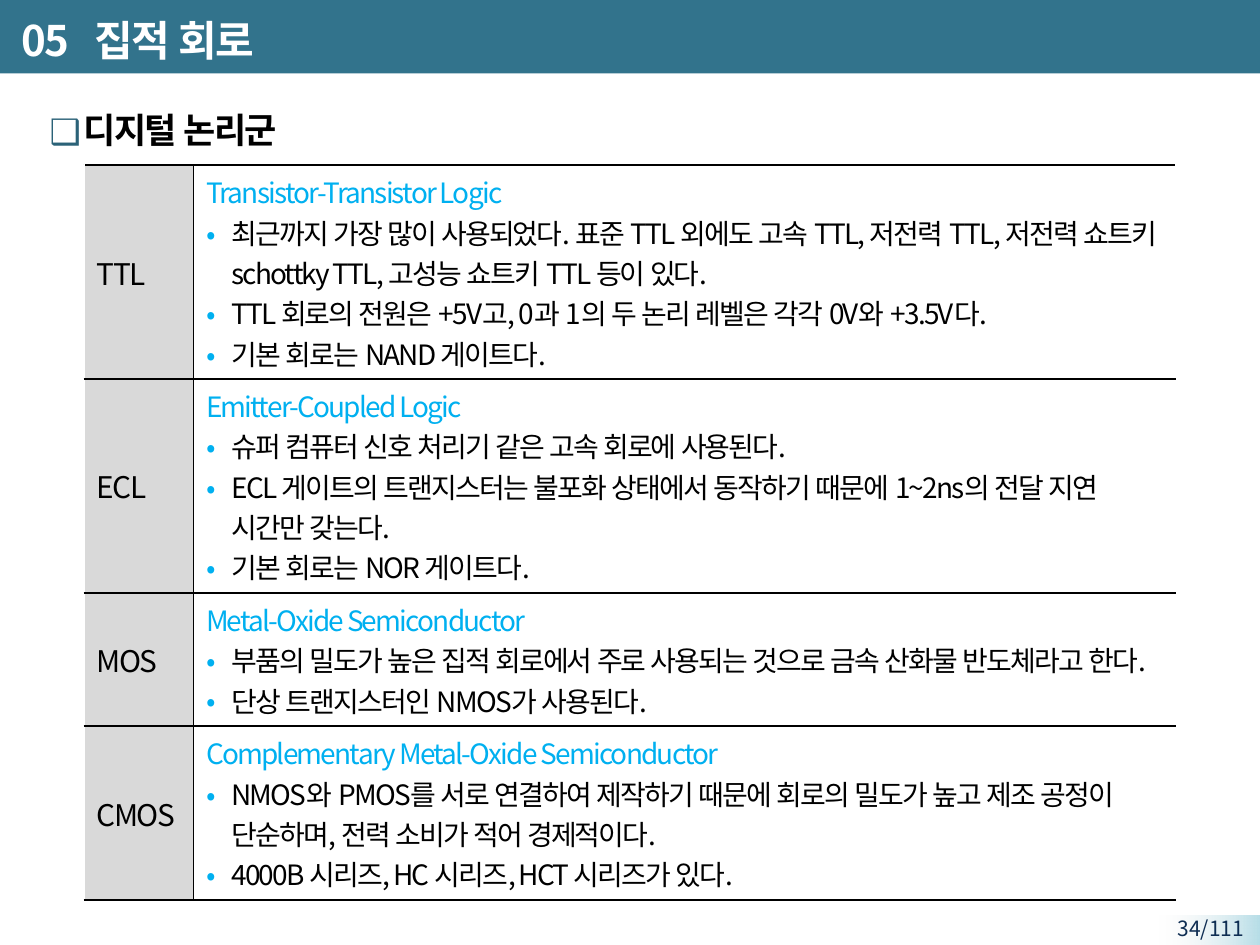
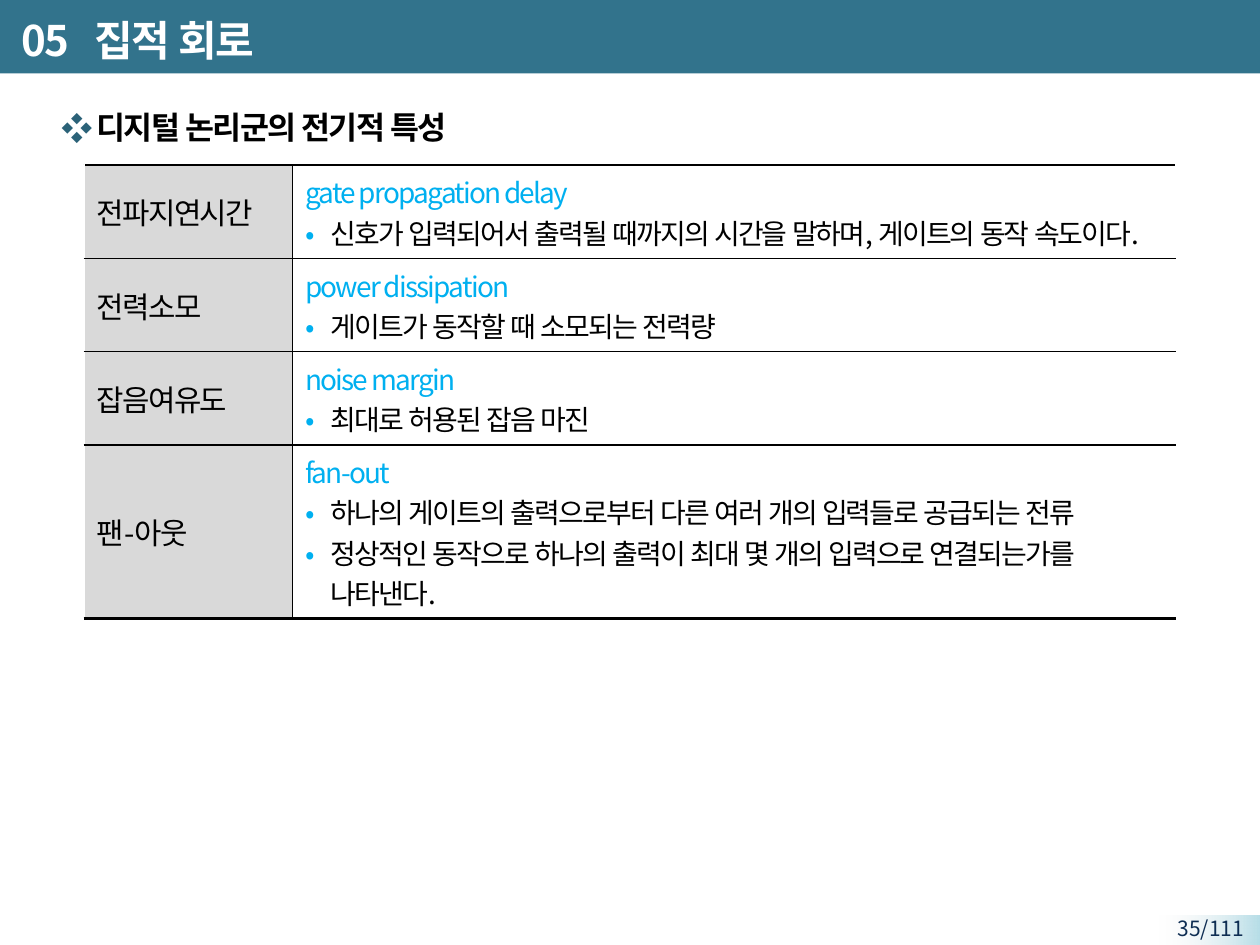
from dataclasses import dataclass

from lxml import etree
from pptx import Presentation
from pptx.dml.color import RGBColor
from pptx.enum.lang import MSO_LANGUAGE_ID
from pptx.enum.shapes import MSO_SHAPE
from pptx.enum.text import MSO_ANCHOR, MSO_AUTO_SIZE, PP_ALIGN
from pptx.oxml.ns import qn
from pptx.util import Cm, Pt

RECTANGLE = MSO_SHAPE.RECTANGLE
MIDDLE = MSO_ANCHOR.MIDDLE
NO_AUTOFIT = MSO_AUTO_SIZE.NONE
LEFT, RIGHT = PP_ALIGN.LEFT, PP_ALIGN.RIGHT
KOREAN = MSO_LANGUAGE_ID.KOREAN
TITLE_ONLY = 5


@dataclass(frozen=True)
class Theme:
    font: str = "Noto Sans CJK KR"
    band: str = "32738C"
    title: str = "FFFFFF"
    text: str = "000000"
    accent: str = "00B0F0"
    heading_mark: str = "2B6278"
    label_fill: str = "D9D9D9"
    rule: str = "000000"
    no_rule: str = "FFFFFF"
    page: str = "0F2E53"
    page_glow: str = "B7DEE8"
    page_fade: str = "F2F2F2"
    title_size: int = 24
    label_size: int = 17
    detail_size: int = 16
    page_size: int = 12
    tight: float = -1
    thin: float = 1
    thick: float = 1.5


THEME = Theme()


@dataclass(frozen=True)
class Heading:
    text: str
    mark: str
    size: int
    indent: float
    hang: float


@dataclass(frozen=True)
class Topic:
    label: str
    term: str
    lines: int  # lines of text in the row, wrapped ones included
    points: tuple[str, ...]


@dataclass(frozen=True)
class Page:
    number: str
    heading: Heading
    label_width: float
    topics: tuple[Topic, ...]


CHAPTER = "05\t집적 회로"
TABLE_WIDTH = 22.0
LINE_HEIGHT = 0.81
ROW_PADDING = 0.26

PAGES = (
    Page("34/111", Heading("디지털 논리군", "❑", 20, 1.26, 0.69), 2.2, (
        Topic("TTL", "Transistor-Transistor Logic", 5, (
            "최근까지 가장 많이 사용되었다. 표준 TTL 외에도 고속 TTL, 저전력 TTL, "
            "저전력 쇼트키 schottky TTL, 고성능 쇼트키 TTL 등이 있다.",
            "TTL 회로의 전원은 +5V고, 0과 1의 두 논리 레벨은 각각 0V와 +3.5V다.",
            "기본 회로는 NAND 게이트다.")),
        Topic("ECL", "Emitter-Coupled Logic", 5, (
            "슈퍼 컴퓨터 신호 처리기 같은 고속 회로에 사용된다.",
            "ECL 게이트의 트랜지스터는 불포화 상태에서 동작하기 때문에 "
            "1~2ns의 전달 지연 시간만 갖는다.",
            "기본 회로는 NOR 게이트다.")),
        Topic("MOS", "Metal-Oxide Semiconductor", 3, (
            "부품의 밀도가 높은 집적 회로에서 주로 사용되는 것으로 "
            "금속 산화물 반도체라고 한다.",
            "단상 트랜지스터인 NMOS가 사용된다.")),
        Topic("CMOS", "Complementary Metal-Oxide Semiconductor", 4, (
            "NMOS와 PMOS를 서로 연결하여 제작하기 때문에 회로의 밀도가 높고 "
            "제조 공정이 단순하며, 전력 소비가 적어 경제적이다.",
            "4000B 시리즈, HC 시리즈, HCT 시리즈가 있다.")),
    )),
    Page("35/111", Heading("디지털 논리군의 전기적 특성", "❖", 18, 1.52, 0.71), 4.2, (
        Topic("전파지연시간", "gate propagation delay", 2, (
            "신호가 입력되어서 출력될 때까지의 시간을 말하며, 게이트의 동작 속도이다.",)),
        Topic("전력소모", "power dissipation", 2, ("게이트가 동작할 때 소모되는 전력량",)),
        Topic("잡음여유도", "noise margin", 2, ("최대로 허용된 잡음 마진",)),
        Topic("팬-아웃", "fan-out", 4, (
            "하나의 게이트의 출력으로부터 다른 여러 개의 입력들로 공급되는 전류",
            "정상적인 동작으로 하나의 출력이 최대 몇 개의 입력으로 연결되는가를 나타낸다.")),
    )),
)


def rgb(color: str) -> RGBColor:
    return RGBColor.from_string(color)


# Text helpers
def style(paragraph, size: int, color: str, bold: bool = False, spacing: float = 0) -> None:
    for run in paragraph.runs:
        run.font.size = Pt(size)
        run.font.bold = bold
        run.font.color.rgb = rgb(color)
        run.font.name = THEME.font
        run.font.language_id = KOREAN
        properties = run.font._element
        properties.set("spc", str(int(spacing * 100)))
        east_asian = etree.Element(qn("a:ea"), typeface=THEME.font)
        properties.find(qn("a:latin")).addnext(east_asian)


def add_bullet(paragraph, mark: str, color: str, indent: float, hang: float) -> None:
    properties = paragraph._p.get_or_add_pPr()
    properties.set("marL", str(Cm(indent)))
    properties.set("indent", str(-Cm(hang)))
    mark_color = etree.SubElement(properties, qn("a:buClr"))
    etree.SubElement(mark_color, qn("a:srgbClr"), val=color)
    etree.SubElement(properties, qn("a:buFont"), typeface=THEME.font)
    etree.SubElement(properties, qn("a:buChar"), char=mark)


# Frame shared by all slides
def add_band(slide) -> None:
    band = slide.shapes.add_shape(RECTANGLE, Cm(0), Cm(-0.05), Cm(25.4), Cm(1.53))
    band.shadow.inherit = False
    band.fill.solid()
    band.fill.fore_color.rgb = rgb(THEME.band)
    band.line.fill.background()
    slide.shapes.element.insert(2, band.element)  # behind the title


def set_title(slide) -> None:
    title = slide.shapes.title
    title.left, title.top, title.width, title.height = Cm(0.18), Cm(0.15), Cm(21.6), Cm(1.32)
    frame = title.text_frame
    frame.text = CHAPTER
    frame.auto_size = NO_AUTOFIT
    frame.vertical_anchor = MIDDLE
    chapter = frame.paragraphs[0]
    chapter.alignment = LEFT
    tabs = etree.SubElement(chapter._p.get_or_add_pPr(), qn("a:tabLst"))
    etree.SubElement(tabs, qn("a:tab"), pos=str(Cm(1.47)), algn="l")
    style(chapter, THEME.title_size, THEME.title, bold=True, spacing=THEME.tight)


def add_page_number(slide, number: str) -> None:
    glow = slide.shapes.add_shape(RECTANGLE, Cm(23.37), Cm(18.46), Cm(2.03), Cm(0.6))
    glow.shadow.inherit = False
    glow.line.fill.background()
    glow.fill.gradient()
    glow.fill.gradient_angle = 180
    start, end = glow.fill.gradient_stops
    start.color.rgb, end.color.rgb = rgb(THEME.page_glow), rgb(THEME.page_fade)
    fade = glow.element.findall(".//" + qn("a:gs"))[-1][0]
    etree.SubElement(fade, qn("a:alpha"), val="0")

    page_number = slide.shapes.add_textbox(Cm(22.99), Cm(18.34), Cm(2.34), Cm(0.58))
    frame = page_number.text_frame
    frame.word_wrap = True
    frame.text = number
    frame.paragraphs[0].alignment = RIGHT
    style(frame.paragraphs[0], THEME.page_size, THEME.page)


# Content
def add_heading(slide, heading: Heading) -> None:
    box = slide.shapes.add_textbox(Cm(0.18), Cm(1.98), Cm(24.89), Cm(1.2))
    frame = box.text_frame
    frame.word_wrap = True
    frame.text = heading.text
    paragraph = frame.paragraphs[0]
    paragraph.line_spacing = 1.1
    paragraph.space_after = Pt(2)
    add_bullet(paragraph, heading.mark, THEME.heading_mark, heading.indent, heading.hang)
    style(paragraph, heading.size, THEME.text, bold=True, spacing=THEME.tight)


def set_borders(cell, is_label: bool, is_first: bool, is_last: bool) -> None:
    borders = (
        ("a:lnL", THEME.no_rule if is_label else THEME.rule, THEME.thin),
        ("a:lnR", THEME.rule if is_label else THEME.no_rule, THEME.thin),
        ("a:lnT", THEME.rule, THEME.thick if is_first else THEME.thin),
        ("a:lnB", THEME.rule, THEME.thick if is_last else THEME.thin),
    )
    properties = cell._tc.get_or_add_tcPr()
    for tag, color, width in borders:
        border = etree.SubElement(properties, qn(tag), w=str(Pt(width)))
        fill = etree.SubElement(border, qn("a:solidFill"))
        etree.SubElement(fill, qn("a:srgbClr"), val=color)


def fill_row(label, detail, topic: Topic) -> None:
    label.fill.solid()
    label.fill.fore_color.rgb = rgb(THEME.label_fill)
    label.vertical_anchor = MIDDLE
    label.text_frame.text = topic.label
    style(label.text_frame.paragraphs[0], THEME.label_size, THEME.text, spacing=THEME.tight)

    detail.fill.background()
    detail.text_frame.text = "\n".join((topic.term, *topic.points))
    term, *points = detail.text_frame.paragraphs
    style(term, THEME.detail_size, THEME.accent, spacing=THEME.tight)
    for point in points:
        add_bullet(point, "•", THEME.accent, 0.51, 0.51)
        style(point, THEME.detail_size, THEME.text, spacing=THEME.tight)


def add_topics(slide, page: Page) -> None:
    heights = [ROW_PADDING + LINE_HEIGHT * topic.lines for topic in page.topics]
    table = slide.shapes.add_table(
        len(page.topics), 2, Cm(1.7), Cm(3.33), Cm(TABLE_WIDTH), Cm(sum(heights))).table
    table.first_row = table.horz_banding = False
    table.columns[0].width = Cm(page.label_width)
    table.columns[1].width = Cm(TABLE_WIDTH - page.label_width)
    last = len(page.topics) - 1
    for index, (topic, height) in enumerate(zip(page.topics, heights)):
        table.rows[index].height = Cm(height)
        label, detail = table.cell(index, 0), table.cell(index, 1)
        for cell in (label, detail):
            set_borders(cell, cell is label, index == 0, index == last)
        fill_row(label, detail, topic)


def main() -> None:
    deck = Presentation()
    deck.slide_width, deck.slide_height = Cm(25.4), Cm(19.05)
    for page in PAGES:
        slide = deck.slides.add_slide(deck.slide_layouts[TITLE_ONLY])
        add_band(slide)
        set_title(slide)
        add_page_number(slide, page.number)
        add_heading(slide, page.heading)
        add_topics(slide, page)
    deck.save("out.pptx")


if __name__ == "__main__":
    main()
